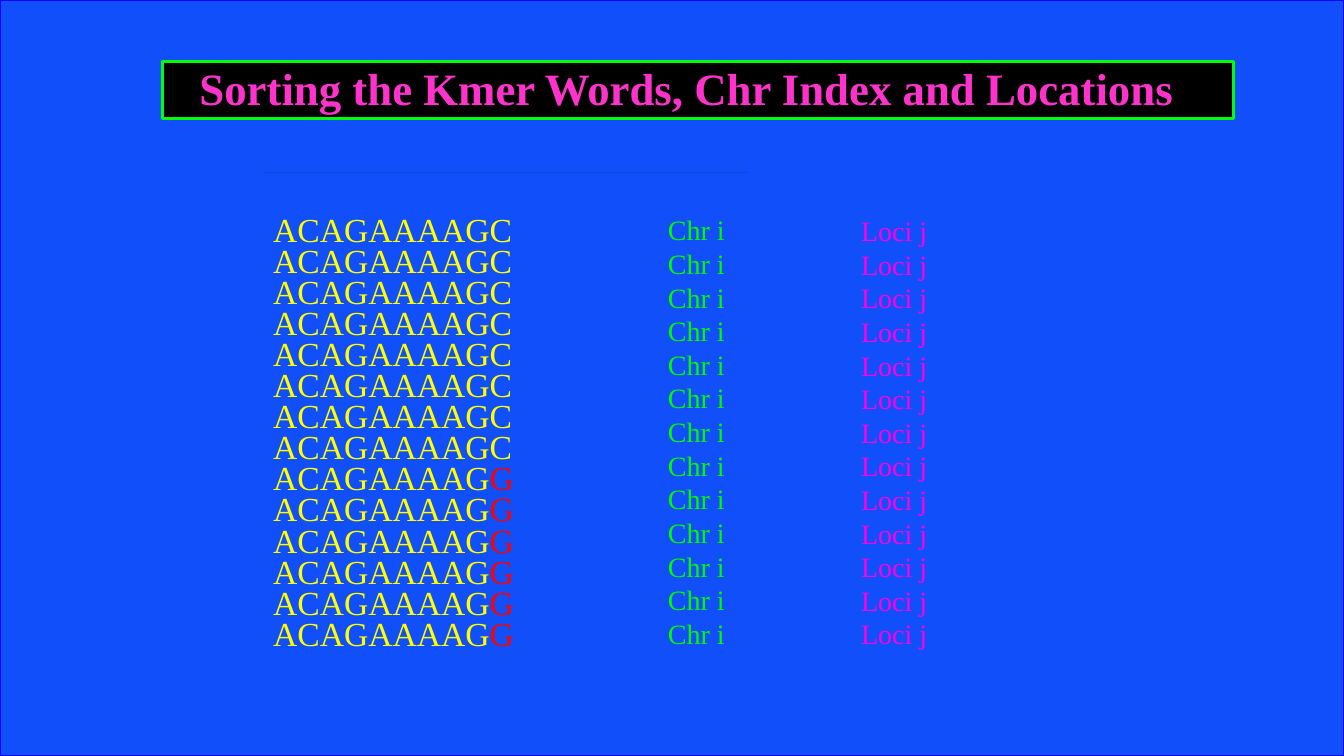
from pptx import Presentation
from pptx.dml.color import RGBColor
from pptx.enum.shapes import MSO_SHAPE as SHAPE
from pptx.enum.text import MSO_ANCHOR as ANCHOR, PP_ALIGN as ALIGN
from pptx.util import Pt

FONT = "Times New Roman"
BLUE = RGBColor(0x11, 0x4F, 0xFB)
EDGE_BLUE = RGBColor(0x00, 0x00, 0xFF)
BLACK = RGBColor(0x00, 0x00, 0x00)
LIME = RGBColor(0x00, 0xFF, 0x00)
PINK = RGBColor(0xFF, 0x33, 0xCC)
YELLOW = RGBColor(0xFF, 0xFF, 0x00)
RED = RGBColor(0xFF, 0x00, 0x00)
GREEN = RGBColor(0x00, 0xFA, 0x00)
MAGENTA = RGBColor(0xFF, 0x00, 0xE3)

WIDTH, HEIGHT = 960, 540
ROWS = 13
KMERS = [("ACAGAAAAG", "C", YELLOW)] * 8 + [("ACAGAAAAG", "G", RED)] * 6


def style(r, size, color, bold=False):
    r.font.name = FONT
    r.font.size = Pt(size)
    r.font.bold = bold
    r.font.color.rgb = color


def add_rect(slide, box, fill, line=None):
    sp = slide.shapes.add_shape(SHAPE.RECTANGLE, *map(Pt, box))
    sp.shadow.inherit = False
    sp.fill.solid()
    sp.fill.fore_color.rgb = fill
    if line is None:
        sp.line.fill.background()
    else:
        sp.line.color.rgb = line
        sp.line.width = Pt(2)
    return sp


def add_text(shapes, box):
    tf = shapes.add_textbox(*map(Pt, box)).text_frame
    tf.word_wrap = True
    return tf


def add_title(slide, box):
    tf = add_rect(slide, box, BLACK, LIME).text_frame
    tf.word_wrap = True
    tf.vertical_anchor = ANCHOR.BOTTOM
    p = tf.paragraphs[0]
    p.text = "Sorting the Kmer Words, Chr Index and Locations  "
    p.alignment = ALIGN.CENTER
    style(p.runs[0], 32, PINK, True)


def add_kmers(slide, left, top, width, pitch):
    group = slide.shapes.add_group_shape()
    for i, (stem, last, color) in enumerate(KMERS):
        tf = add_text(group.shapes, (left, top + i * pitch, width, pitch))
        p = tf.paragraphs[0]
        parts = [(stem + last, YELLOW)] if color == YELLOW else [(stem, YELLOW), (last, color)]
        for text, part_color in parts:
            r = p.add_run()
            r.text = text
            style(r, 24, part_color)


def add_column(slide, box, label, color):
    tf = add_text(slide.shapes, box)
    tf.text = "\n".join([label] * ROWS)
    for p in tf.paragraphs:
        p.line_spacing = Pt(24)
        style(p.runs[0], 20, color)


def main():
    prs = Presentation()
    prs.slide_width, prs.slide_height = Pt(WIDTH), Pt(HEIGHT)
    slide = prs.slides.add_slide(prs.slide_layouts[6])
    add_rect(slide, (0, 0, WIDTH, HEIGHT), BLUE, EDGE_BLUE)
    add_title(slide, (116, 44, 765, 41))
    add_rect(slide, (188, 123, 345.6, 0), BLACK)
    add_kmers(slide, 188, 145.5, 214, 22.2)
    add_column(slide, (470, 148.5, 93, 325.5), "Chr i", GREEN)
    add_column(slide, (608, 149, 93, 325.5), "Loci j", MAGENTA)
    prs.save("out.pptx")


if __name__ == "__main__":
    main()
